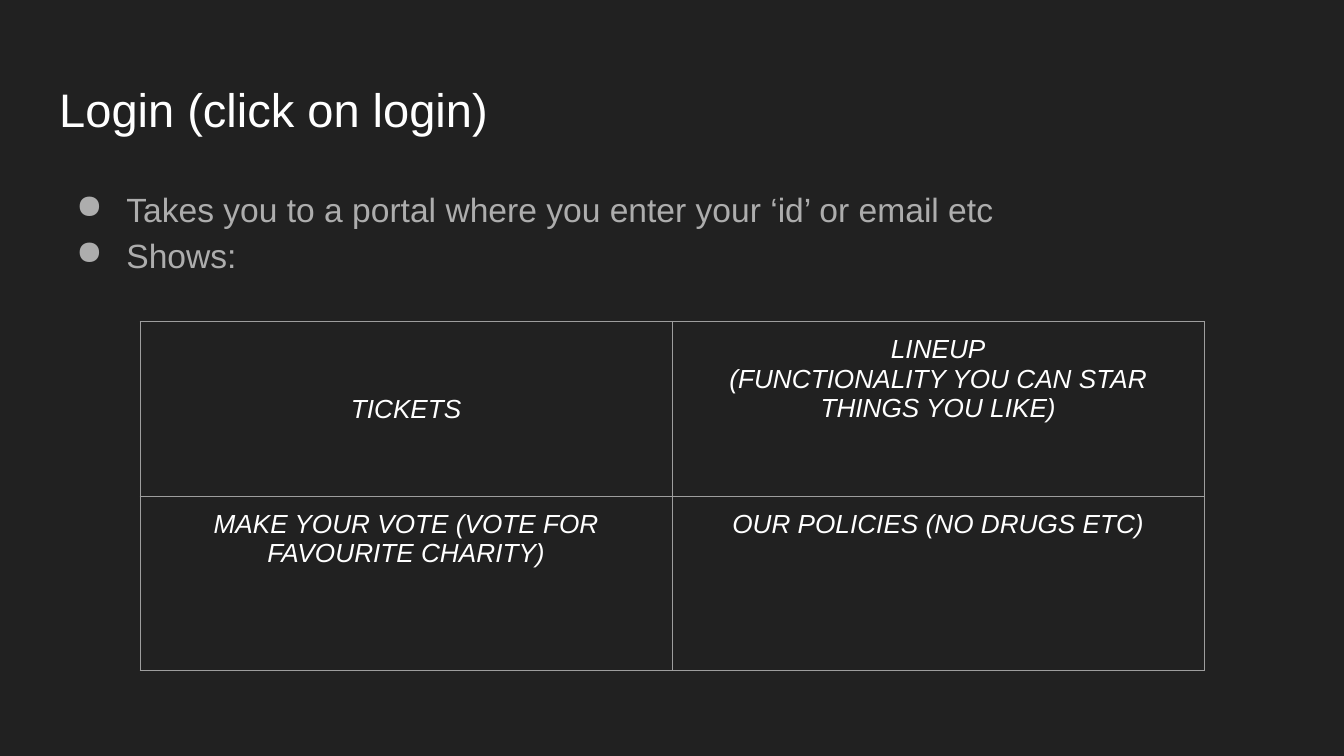
"""Build the login slide with its title, bullets and a grid of portal pages."""
from lxml import etree
from pptx import Presentation
from pptx.dml.color import RGBColor
from pptx.enum import text
from pptx.oxml import ns
from pptx.util import Cm, Pt

DARK = RGBColor(0x21, 0x21, 0x21)
WHITE = RGBColor(0xFF, 0xFF, 0xFF)
GREY = RGBColor(0xAD, 0xAD, 0xAD)
LINE = RGBColor(0x9E, 0x9E, 0x9E)
FONT = "Arial"
PAD = Cm(0.25)

POINTS = ["Takes you to a portal where you enter your ‘id’ or email etc", "Shows:"]
PAGES = [
    ["TICKETS", "LINEUP\n(FUNCTIONALITY YOU CAN STAR THINGS YOU LIKE)"],
    ["MAKE YOUR VOTE (VOTE FOR FAVOURITE CHARITY)", "OUR POLICIES (NO DRUGS ETC)"],
]


def style(frame, size, color, italic=False):
    for para in frame.paragraphs:
        for run in para.runs:
            font = run.font
            font.name, font.size, font.italic = FONT, Pt(size), italic
            font.color.rgb = color


def pad(item):
    item.margin_left = item.margin_right = PAD
    item.margin_top = item.margin_bottom = PAD


def add_text(slide, box, words, size, color):
    frame = slide.shapes.add_textbox(*map(Cm, box)).text_frame
    frame.word_wrap = True
    pad(frame)
    frame.text = words
    style(frame, size, color)
    return frame


def add_dot(para):
    para.line_spacing = 1.15
    props = para._p.get_or_add_pPr()
    props.set("marL", str(Cm(1.27)))
    props.set("indent", str(Cm(-0.95)))
    tint = etree.SubElement(props, ns.qn("a:buClr"))
    etree.SubElement(tint, ns.qn("a:srgbClr"), val=str(GREY))
    etree.SubElement(props, ns.qn("a:buChar"), char="●")


def add_edges(cell):
    props = cell._tc.get_or_add_tcPr()
    for spot, side in enumerate(("lnL", "lnR", "lnT", "lnB")):
        edge = etree.Element(ns.qn("a:" + side), w=str(Pt(0.75)))
        fill = etree.SubElement(edge, ns.qn("a:solidFill"))
        etree.SubElement(fill, ns.qn("a:srgbClr"), val=str(LINE))
        props.insert(spot, edge)


def fill_cell(cell, words):
    cell.text = words
    pad(cell)
    cell.fill.background()
    add_edges(cell)
    for para in cell.text_frame.paragraphs:
        para.alignment = text.PP_ALIGN.CENTER
    style(cell.text_frame, 14, WHITE, True)


def add_grid(slide, rows, left, top, width, height):
    count = len(rows), len(rows[0])
    grid = slide.shapes.add_table(
        *count, Cm(left), Cm(top), Cm(width), Cm(height)).table
    grid.first_row = grid.horz_banding = False
    for r, row in enumerate(rows):
        for c, words in enumerate(row):
            fill_cell(grid.cell(r, c), words)
    return grid


def main():
    deck = Presentation()
    deck.slide_width, deck.slide_height = Cm(25.4), Cm(14.29)
    slide = deck.slides.add_slide(deck.slide_layouts[6])
    back = slide.background.fill
    back.solid()
    back.fore_color.rgb = DARK

    body = add_text(slide, (0.87, 3.2, 23.67, 9.5), "\n".join(POINTS), 18, GREY)
    for para in body.paragraphs:
        add_dot(para)
    title = add_text(slide, (0.87, 1.24, 11.43, 1.6),
                     "Login (click on login)", 25.2, WHITE)
    title.vertical_anchor = text.MSO_ANCHOR.BOTTOM
    grid = add_grid(slide, PAGES, 2.65, 6.08, 20.11, 6.6)
    grid.cell(0, 0).vertical_anchor = text.MSO_ANCHOR.MIDDLE

    deck.save("out.pptx")


if __name__ == "__main__":
    main()
